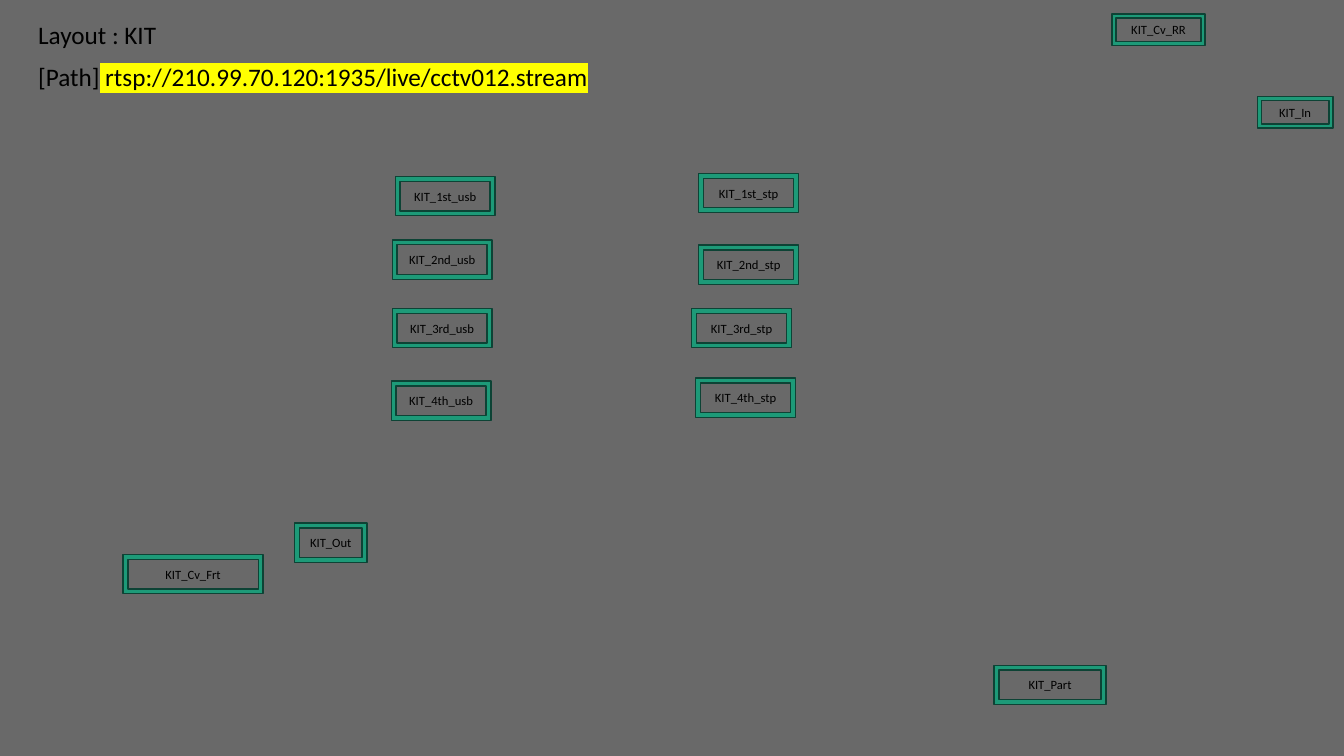
from dataclasses import dataclass

from lxml import etree
from pptx import Presentation
from pptx import util as u
from pptx.dml.color import RGBColor
from pptx.enum import shapes, text
from pptx.oxml.ns import qn


@dataclass(frozen=True)
class Theme:
    background: str = "696969"
    frame_fill: str = "1D9A78"
    frame_line: str = "0D4335"
    ink: str = "000000"
    highlight: str = "FFFF00"
    font: str = "Calibri"
    heading_size: int = 18
    label_size: int = 9


THEME = Theme()

# Frames of each size: (width, height) -> (label, left, top)
STATIONS = {
    (0.92, 0.31): [("KIT_Cv_RR", 11.03, 0.14)],
    (0.75, 0.31): [("KIT_In", 12.47, 0.96)],
    (1.39, 0.39): [("KIT_Cv_Frt", 1.22, 5.5)],
    (0.99, 0.39): [
        ("KIT_1st_usb", 3.92, 1.75),
        ("KIT_2nd_usb", 3.89, 2.38),
        ("KIT_3rd_usb", 3.89, 3.06),
        ("KIT_4th_usb", 3.88, 3.78),
        ("KIT_3rd_stp", 6.86, 3.06),
        ("KIT_4th_stp", 6.9, 3.75),
        ("KIT_2nd_stp", 6.93, 2.43),
        ("KIT_1st_stp", 6.93, 1.72),
    ],
    (0.72, 0.39): [("KIT_Out", 2.92, 5.19)],
    (1.11, 0.39): [("KIT_Part", 9.86, 6.6)],
}


def color(value):
    return RGBColor.from_string(value)


def style_run(run, size):
    run.font.name = THEME.font
    run.font.size = u.Pt(size)
    run.font.color.rgb = color(THEME.ink)


def highlight_run(run):
    """Mark a run that already has a font colour."""
    fill = run.font._element.find(qn("a:solidFill"))
    highlight = etree.Element(qn("a:highlight"))
    etree.SubElement(highlight, qn("a:srgbClr"), val=THEME.highlight)
    fill.addnext(highlight)


def add_heading(slide, top, label, marked=""):
    box = slide.shapes.add_textbox(
        u.Inches(0.28), u.Inches(top), u.Inches(16.67), u.Inches(0.42))
    box.text_frame.word_wrap = True
    paragraph = box.text_frame.paragraphs[0]
    paragraph.text = label
    style_run(paragraph.runs[0], THEME.heading_size)
    if marked:
        run = paragraph.add_run()
        run.text = marked
        style_run(run, THEME.heading_size)
        highlight_run(run)


def add_station(slide, label, left, top, width, height):
    shape = slide.shapes.add_shape(
        shapes.MSO_SHAPE.FRAME, u.Inches(left), u.Inches(top),
        u.Inches(width), u.Inches(height))
    shape.shadow.inherit = False
    shape.fill.solid()
    shape.fill.fore_color.rgb = color(THEME.frame_fill)
    shape.line.color.rgb = color(THEME.frame_line)
    shape.line.width = u.Pt(1)
    frame = shape.text_frame
    frame.text = label
    frame.word_wrap = False
    frame.vertical_anchor = text.MSO_ANCHOR.MIDDLE
    frame.margin_left = frame.margin_right = 0
    frame.margin_top = frame.margin_bottom = 0
    paragraph = frame.paragraphs[0]
    paragraph.alignment = text.PP_ALIGN.CENTER
    style_run(paragraph.runs[0], THEME.label_size)


def main():
    presentation = Presentation()
    presentation.slide_width = u.Inches(13.33)
    presentation.slide_height = u.Inches(7.5)
    slide = presentation.slides.add_slide(presentation.slide_layouts[6])
    slide.background.fill.solid()
    slide.background.fill.fore_color.rgb = color(THEME.background)

    # Layout name and stream path
    add_heading(slide, 0.14, "Layout : KIT")
    add_heading(slide, 0.56, "[Path]",
                " rtsp://210.99.70.120:1935/live/cctv012.stream")

    # Stations on the floor plan
    for (width, height), stations in STATIONS.items():
        for label, left, top in stations:
            add_station(slide, label, left, top, width, height)

    presentation.save("out.pptx")


if __name__ == "__main__":
    main()
